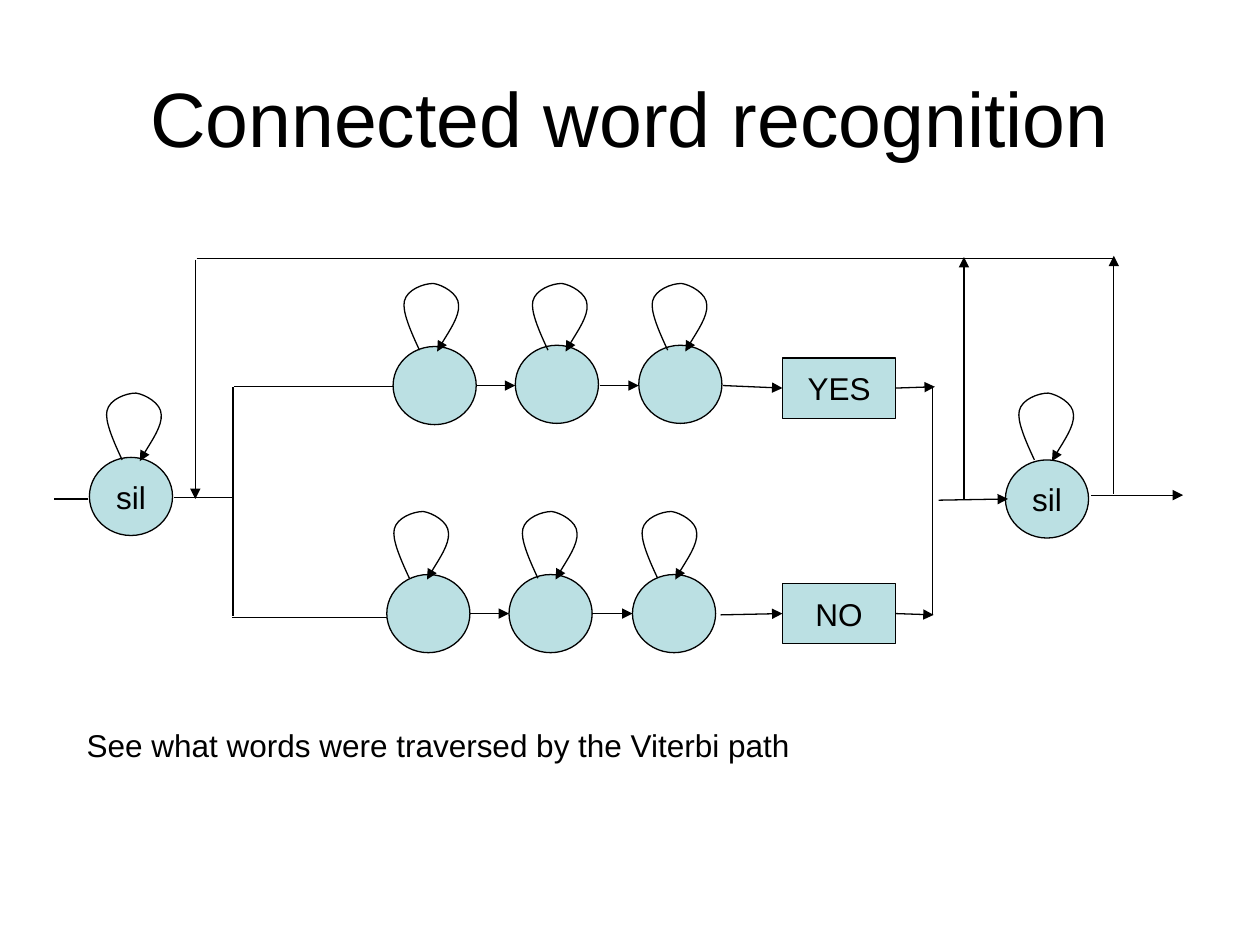
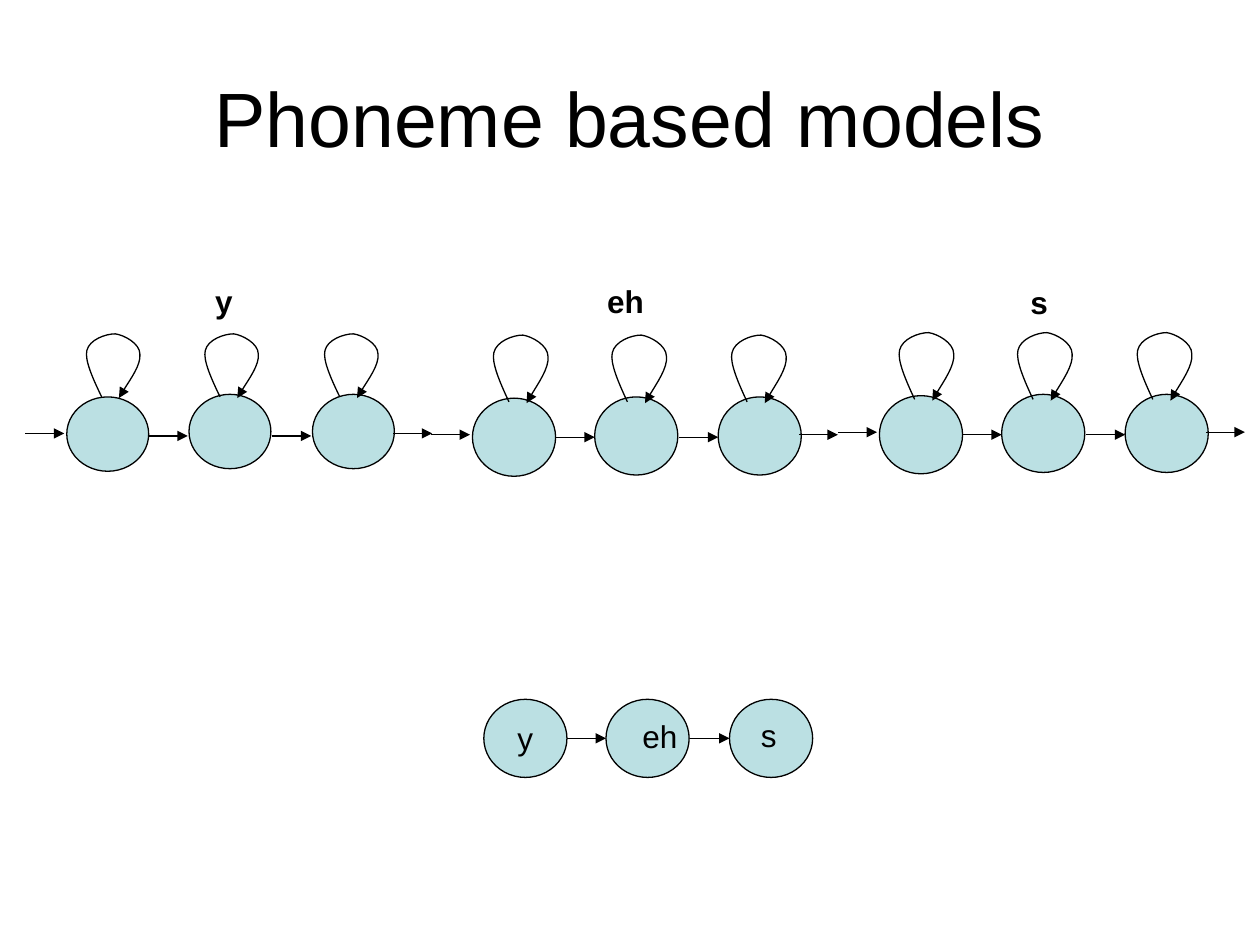
"""Build two slides on word and phoneme models for speech recognition."""
from dataclasses import dataclass
from typing import Any, NamedTuple, Optional

from lxml.etree import SubElement
from pptx import Presentation
from pptx.dml.color import RGBColor
from pptx.enum.shapes import MSO_CONNECTOR as CONN, MSO_SHAPE as SHAPE
from pptx.enum.text import MSO_ANCHOR as ANCHOR, PP_ALIGN as ALIGN
from pptx.oxml.ns import qn
from pptx.util import Emu, Pt

EMU_PER_PX = 9144
BLACK, STATE_FILL = "000000", "BBE0E3"
BODY = {"name": "Arial", "size": Pt(18), "bold": False}
BOLD = BODY | {"bold": True}
TITLE = BODY | {"size": Pt(44)}
MIDDLE = {"vertical_anchor": ANCHOR.MIDDLE}
LOOP_W, LOOP_H = 46, 53
LOOP_POINTS = [
    (14, 53),
    (7, 38), (0, 22), (2, 14),
    (4, 5), (17, 0), (25, 0),
    (32, 1), (45, 8), (45, 17),
    (46, 26), (31, 48), (28, 54),
]
LINK_LENGTH = 31
RECT_LEFT, RECT_RIGHT = 1, 3


class Box(NamedTuple):
    x: int
    y: int
    w: int
    h: int


class Line(NamedTuple):
    x1: int
    y1: int
    x2: int
    y2: int
    arrow: bool = True


class Label(NamedTuple):
    text: str
    box: Box
    wrap: bool = True


@dataclass
class Chain:
    """Three states in a row, with their links and optional self-loops."""
    first: Box
    link_y: int
    rise: int = 0
    loops: tuple[Box, ...] = ()
    first_text: str = ""

    def states(self) -> list[Box]:
        x, y, w, h = self.first
        return [self.first] + [Box(x + dx, y - self.rise, w, h) for dx in (97, 195)]

    def links(self) -> list[Line]:
        start = self.first.x + self.first.w
        return [Line(x, self.link_y, x + LINK_LENGTH, self.link_y)
                for x in (start, start + 98)]

    def ends(self) -> list[Line]:
        y = self.link_y - 2
        return [Line(x, y, x + LINK_LENGTH, y)
                for x in (self.first.x - 33, self.first.x + 259)]


def px(n: float) -> Emu:
    return Emu(round(n * EMU_PER_PX))


def color(value: str) -> RGBColor:
    return RGBColor.from_string(value)


def apply(target: Any, values: dict[str, Any]) -> None:
    for name, value in values.items():
        setattr(target, name, value)


def write(sp: Any, text: str, font: dict[str, Any], frame: dict[str, Any],
          align: ALIGN = ALIGN.LEFT) -> None:
    tf = sp.text_frame
    apply(tf, frame)
    p = tf.paragraphs[0]
    p.alignment = align
    r = p.add_run()
    r.text = text
    apply(r.font, font)
    r.font.color.rgb = color(BLACK)


def outline(line: Any) -> None:
    line.color.rgb = color(BLACK)
    line.width = Pt(0.75)


def add_head(line: Any) -> None:
    SubElement(line._get_or_add_ln(), qn("a:tailEnd"), type="triangle")


def add_label(s: Any, label: Label, font: dict[str, Any] = BODY) -> None:
    sp = s.shapes.add_textbox(*map(px, label.box))
    write(sp, label.text, font, {"word_wrap": label.wrap})


def add_title(s: Any, text: str) -> None:
    sp = s.shapes.add_textbox(*map(px, Box(50, 30, 900, 125)))
    write(sp, text, TITLE, MIDDLE | {"word_wrap": True}, ALIGN.CENTER)


def add_node(s: Any, box: Box, text: str = "", kind: SHAPE = SHAPE.OVAL) -> Any:
    sp = s.shapes.add_shape(kind, *map(px, box))
    sp.shadow.inherit = False
    sp.fill.solid()
    sp.fill.fore_color.rgb = color(STATE_FILL)
    outline(sp.line)
    if text:
        write(sp, text, BODY, MIDDLE | {"word_wrap": False}, ALIGN.CENTER)
    return sp


def add_line(s: Any, line: Line, begin: Optional[Any] = None,
             end: Optional[Any] = None) -> None:
    c = s.shapes.add_connector(CONN.STRAIGHT, *map(px, line[:4]))
    if begin is not None:
        c.begin_connect(begin, RECT_RIGHT)
    if end is not None:
        c.end_connect(end, RECT_LEFT)
    outline(c.line)
    if line.arrow:
        add_head(c.line)
    SubElement(c._element.spPr, qn("a:effectLst"))


def add_loop(s: Any, box: Box) -> None:
    points = [(px(box.x + x * box.w / LOOP_W), px(box.y + y * box.h / LOOP_H))
              for x, y in LOOP_POINTS]
    builder = s.shapes.build_freeform(*points[0])
    builder.add_line_segments(points[1:], close=False)
    sp = builder.convert_to_shape()
    segments = list(sp._element.iter(qn("a:lnTo")))
    outline_xml = segments[0].getparent()
    for i in range(0, len(segments), 3):
        curve = SubElement(outline_xml, qn("a:cubicBezTo"))
        for segment in segments[i:i + 3]:
            curve.append(segment[0])
            outline_xml.remove(segment)
    sp.shadow.inherit = False
    sp.fill.background()
    outline(sp.line)
    add_head(sp.line)


def add_chain(s: Any, chain: Chain) -> None:
    for i, box in enumerate(chain.states()):
        add_node(s, box, chain.first_text if i == 0 else "")
    for line in chain.links():
        add_line(s, line)
    for box in chain.loops:
        add_loop(s, box)


def loop_row(x: int, y: int, offsets: tuple[int, ...],
             w: int = LOOP_W, h: int = LOOP_H) -> tuple[Box, ...]:
    return tuple(Box(x + dx, y, w, h) for dx in offsets)


def connected_words(s: Any) -> None:
    add_title(s, "Connected word recognition")
    offsets = (0, 102, 197)
    add_chain(s, Chain(Box(312, 275, 66, 62), 306, 1, loop_row(319, 225, offsets)))
    add_chain(s, Chain(Box(307, 456, 66, 62), 487, 0, loop_row(311, 406, offsets)))
    words = [
        ("YES", Box(621, 284, 90, 48), Line(574, 306, 621, 308), Line(711, 308, 742, 307)),
        ("NO", Box(621, 463, 90, 48), Line(572, 488, 621, 487), Line(711, 487, 741, 488)),
    ]
    for text, box, before, after in words:
        word = add_node(s, box, text, SHAPE.RECTANGLE)
        add_line(s, before, end=word)
        add_line(s, after, begin=word)
    for state, loop in [(Box(71, 363, 66, 62), Box(83, 312, LOOP_W, LOOP_H)),
                        (Box(798, 365, 66, 62), Box(807, 312, LOOP_W, LOOP_H))]:
        add_node(s, state, "sil")
        add_loop(s, loop)
    for line in [
        Line(156, 205, 885, 205, False),
        Line(185, 307, 185, 489, False),
        Line(312, 307, 186, 307, False),
        Line(307, 490, 184, 490, False),
        Line(185, 395, 138, 395, False),
        Line(70, 396, 43, 396, False),
        Line(740, 308, 740, 488, False),
        Line(155, 206, 155, 396),
        Line(765, 396, 765, 204),
        Line(884, 392, 884, 203),
        Line(745, 397, 800, 396),
        Line(866, 393, 939, 393),
    ]:
        add_line(s, line)
    add_label(s, Label("See what words were traversed by the Viterbi path",
                       Box(59, 571, 890, 40)))


def phoneme_models(s: Any) -> None:
    add_title(s, "Phoneme based models")
    offsets = (0, 94, 189)
    phonemes = [
        (Label("y", Box(161, 219, 37, 40)),
         Chain(Box(53, 315, 65, 59), 346, 2, loop_row(67, 265, offsets, 45, 50))),
        (Label("eh", Box(472, 219, 58, 40)),
         Chain(Box(375, 316, 66, 62), 347, 1, loop_row(390, 266, offsets))),
        (Label("s", Box(808, 220, 37, 40)),
         Chain(Box(698, 314, 66, 62), 345, 1, loop_row(712, 264, offsets))),
    ]
    for label, chain in phonemes:
        add_chain(s, chain)
        for line in chain.ends():
            add_line(s, line)
        add_label(s, label, BOLD)
    add_chain(s, Chain(Box(384, 555, 66, 62), 586, first_text="y"))
    add_label(s, Label("eh", Box(500, 564, 55, 40), False))
    add_label(s, Label("s", Box(594, 563, 33, 40), False))


def main() -> None:
    prs = Presentation()
    prs.slide_width, prs.slide_height = px(1000), px(750)
    for draw in (connected_words, phoneme_models):
        draw(prs.slides.add_slide(prs.slide_layouts[6]))
    prs.save("out.pptx")


if __name__ == "__main__":
    main()
